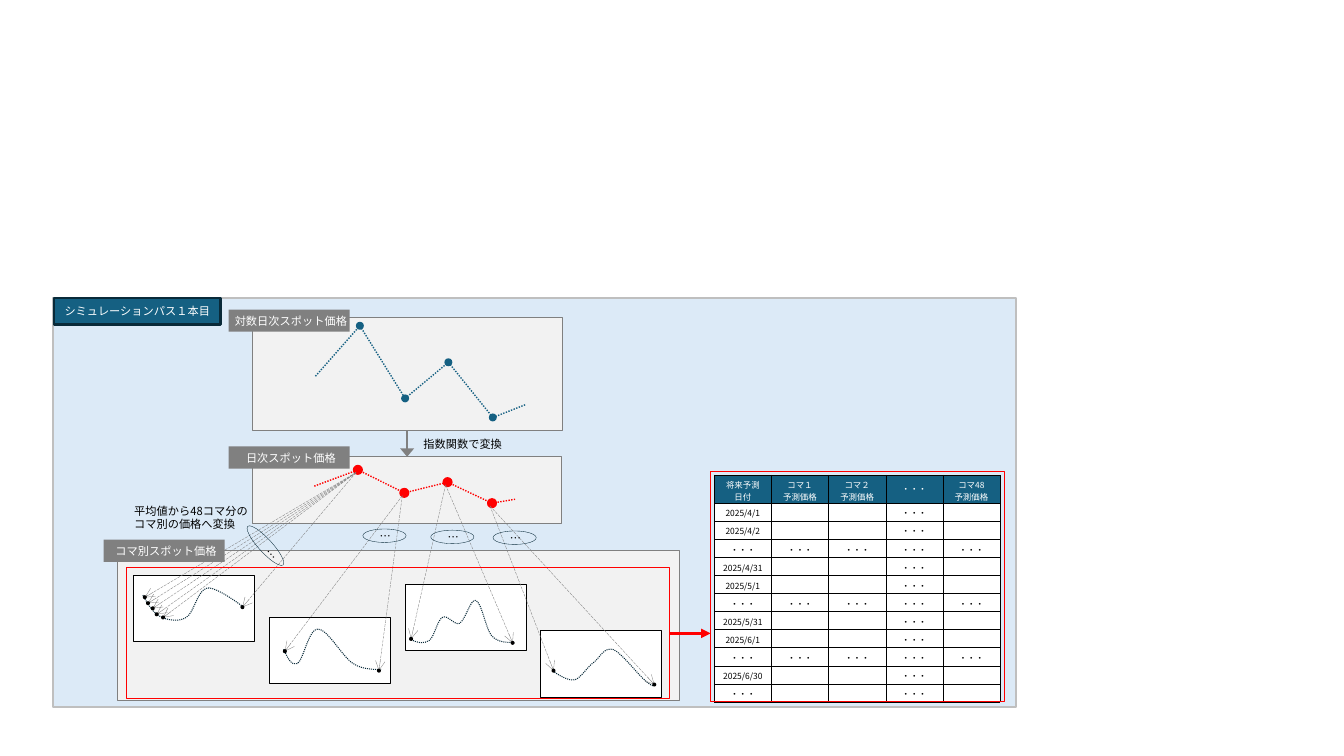
from lxml.etree import SubElement
from pptx import Presentation
from pptx.dml.color import RGBColor
from pptx.enum.dml import MSO_LINE
from pptx.enum.shapes import MSO_CONNECTOR, MSO_SHAPE
from pptx.enum.text import MSO_ANCHOR, MSO_AUTO_SIZE, PP_ALIGN
from pptx.oxml.ns import qn
from pptx.util import Cm, Pt

FONT = "Noto Sans CJK JP"
COLOURS = {name: RGBColor.from_string(value) for name, value in {
    "panel": "DCEAF7", "silver": "BFBFBF", "pale": "F2F2F2", "grey": "808080",
    "red": "FF0000", "blue": "156082", "navy": "092A39",
    "black": "000000", "white": "FFFFFF"}.items()}

LOG_PRICES = [(1.6, 1.47), (2.72, 0.2), (3.86, 2.03), (4.95, 1.12), (6.07, 2.51), (6.91, 2.18)]
DAILY_PRICES = [(1.57, 0.74), (2.67, 0.33), (3.84, 0.91), (4.93, 0.64), (6.05, 1.17), (6.63, 1.07)]

# Each card: top in its frame, Bezier points of the curve, dots on the curve
CARDS = [
    (0.61, [(0.23, 0.51), (0.36, 0.74), (0.48, 0.94), (0.66, 1.04), (0.84, 1.14),
            (1.14, 1.19), (1.32, 1.07), (1.52, 0.97), (1.6, 0.38), (1.85, 0.33),
            (2.08, 0.28), (2.77, 0.81), (2.77, 0.81)],
     [(0.28, 0.56), (0.36, 0.71), (0.48, 0.84), (0.58, 0.99), (0.74, 1.07), (2.74, 0.81)]),
    (1.67, [(0.36, 0.81), (0.46, 1.04), (0.56, 1.24), (0.71, 1.17), (0.86, 1.07),
            (0.99, 0.3), (1.22, 0.3), (1.47, 0.3), (1.85, 1.02), (2.11, 1.17),
            (2.36, 1.35), (2.82, 1.32), (2.82, 1.32)],
     [(0.39, 0.86), (2.76, 1.35)]),
    (0.84, [(0.15, 1.4), (0.3, 1.47), (0.46, 1.52), (0.61, 1.42), (0.74, 1.32),
            (0.81, 0.91), (0.94, 0.84), (1.07, 0.76), (1.24, 1.04), (1.37, 0.99),
            (1.52, 0.91), (1.65, 0.36), (1.78, 0.41), (1.93, 0.46), (2.03, 1.12),
            (2.18, 1.3), (2.34, 1.47), (2.54, 1.47), (2.74, 1.47)],
     [(0.15, 1.38), (2.71, 1.48)]),
    (2.01, [(0.3, 1.02), (0.48, 1.14), (0.69, 1.27), (0.86, 1.24), (1.02, 1.19),
            (1.17, 0.91), (1.35, 0.79), (1.5, 0.66), (1.6, 0.41), (1.83, 0.48),
            (2.03, 0.56), (2.46, 1.12), (2.64, 1.27), (2.82, 1.42), (2.84, 1.4),
            (2.87, 1.37)],
     [(0.32, 1.01), (2.86, 1.36)]),
]

DOTS = "・・・"
HEADINGS = ["将来予測\n日付", "コマ１\n予測価格", "コマ２\n予測価格", DOTS, "コマ48\n予測価格"]
DATES = ["2025/4/1", "2025/4/2", DOTS, "2025/4/31", "2025/5/1", DOTS,
         "2025/5/31", "2025/6/1", DOTS, "2025/6/30"]
FORECAST = [HEADINGS]
FORECAST += [[DOTS] * 5 if date == DOTS else [date, "", "", DOTS, ""] for date in DATES]
FORECAST += [[DOTS, "", "", DOTS, ""]]


def shift(points, left, top):
    return [(left + x, top + y) for x, y in points]


def style(shape, fill=None, line=None, weight=0.5):
    shape.shadow.inherit = False
    if fill:
        shape.fill.solid()
        shape.fill.fore_color.rgb = COLOURS[fill]
    else:
        shape.fill.background()
    if line:
        shape.line.color.rgb = COLOURS[line]
        shape.line.width = Pt(weight)
    else:
        shape.line.fill.background()


def place(page, box, fill=None, line=None, weight=0.5, kind=MSO_SHAPE.RECTANGLE):
    shape = page.shapes.add_shape(kind, *map(Cm, box))
    style(shape, fill, line, weight)
    return shape


def place_dot(page, centre, size, colour, rim=None):
    x, y = centre
    box = (x - size / 2, y - size / 2, size, size)
    place(page, box, colour, rim, 1.5, MSO_SHAPE.OVAL)


def connect(page, start, end, colour, weight, dash=None, head=None, head_width="med"):
    line = page.shapes.add_connector(MSO_CONNECTOR.STRAIGHT, *map(Cm, start + end))
    line.line.color.rgb = COLOURS[colour]
    line.line.width = Pt(weight)
    if dash:
        line.line.dash_style = dash
    properties = line._element.spPr
    if head:
        SubElement(properties.find(qn("a:ln")), qn("a:tailEnd"), type=head, w=head_width)
    SubElement(properties, qn("a:effectLst"))


def write(frame, text, colour, size=8, align=PP_ALIGN.CENTER):
    frame.text = text
    for para in frame.paragraphs:
        para.alignment = align
        para.font.size = Pt(size)
        para.font.color.rgb = COLOURS[colour]
        para.font.name = FONT
        defaults = para._p.pPr.find(qn("a:defRPr"))
        SubElement(defaults, qn("a:ea"), typeface=FONT)
        if not para.runs:
            SubElement(para._p, qn("a:endParaRPr"), sz=str(size * 100))


def place_text(page, box, text, wrap=True, align=PP_ALIGN.LEFT):
    label = page.shapes.add_textbox(*map(Cm, box))
    write(label.text_frame, text, "black", align=align)
    label.text_frame.word_wrap = wrap
    label.text_frame.auto_size = MSO_AUTO_SIZE.SHAPE_TO_FIT_TEXT
    return label


def place_tag(page, left, top, text):
    frame = place(page, (left, top, 3.05, 0.56), "grey").text_frame
    write(frame, text, "white")
    frame.word_wrap = True
    frame.vertical_anchor = MSO_ANCHOR.MIDDLE
    frame.margin_left, frame.margin_right = Cm(0.1), 0
    frame.auto_size = MSO_AUTO_SIZE.SHAPE_TO_FIT_TEXT


def price_panel(page, box, prices, colour, title, title_top, rim=None):
    """Draw a dotted price path and return its marked points."""
    left, top = box[:2]
    place(page, box, "pale", "grey")
    points = shift(prices, left, top)
    for start, end in zip(points, points[1:]):
        connect(page, start, end, colour, 1, MSO_LINE.ROUND_DOT)
    for point in points[1:-1]:
        place_dot(page, point, 0.2, colour, rim)
    place_tag(page, left - 0.59, title_top, title)
    return points[1:-1]


def draw_curve(page, points):
    """Draw a chain of cubic Bezier segments as a dotted outline."""
    corners = [(Cm(x), Cm(y)) for x, y in points]
    builder = page.shapes.build_freeform(*corners[0], scale=1.0)
    builder.add_line_segments(corners[1:], close=False)
    outline = builder.convert_to_shape()
    style(outline, line="navy", weight=0.75)
    outline.line.dash_style = MSO_LINE.ROUND_DOT
    track = next(outline._element.iter(qn("a:path")))
    segments = track.findall(qn("a:lnTo"))
    for i in range(0, len(segments), 3):
        bend = SubElement(track, qn("a:cubicBezTo"))
        for segment in segments[i:i + 3]:
            bend.append(segment[0])
            track.remove(segment)


def slot_card(page, box, curve, dots, source):
    """Draw one day's slot curve with arrows from its daily price."""
    left, top = box[:2]
    place(page, box, "white", "black")
    draw_curve(page, shift(curve, left, top))
    start = (source[0] - 0.05, source[1] + 0.07)
    for dot in shift(dots, left, top):
        connect(page, start, dot, "grey", 0.25, MSO_LINE.LONG_DASH, "arrow")
        place_dot(page, dot, 0.1, "black")


def slot_panel(page, box, sources):
    left, top = box[:2]
    place(page, box, "pale", "grey")
    for i, ((card_top, curve, dots), source) in enumerate(zip(CARDS, sources)):
        card = (left + 0.41 + 3.42 * i, top + card_top, 3.05, 1.68)
        slot_card(page, card, curve, dots, source)
    place_tag(page, left - 0.35, top - 0.28, "コマ別スポット価格")
    place(page, (left + 0.22, top + 0.43, 13.69, 3.3), line="red")


def arrow_bundle(page, x, y, width=1.09, turn=0, nudge=(0, 0)):
    """Ring a bundle of arrows around an ellipsis."""
    label = place_text(page, (x + nudge[0] - 0.37, y + nudge[1] - 0.28, 0.74, 0.56),
                       "…", wrap=False, align=PP_ALIGN.CENTER)
    ring = place(page, (x - width / 2, y - 0.17, width, 0.34),
                 line="navy", weight=0.25, kind=MSO_SHAPE.OVAL)
    label.rotation = ring.rotation = turn


def border(cell):
    properties = cell._tc.get_or_add_tcPr()
    for i, side in enumerate(("a:lnL", "a:lnR", "a:lnT", "a:lnB")):
        line = properties.makeelement(qn(side), {"w": str(Pt(0.25))})
        fill = SubElement(line, qn("a:solidFill"))
        SubElement(fill, qn("a:srgbClr"), val=str(COLOURS["black"]))
        properties.insert(i, line)


def forecast_table(page, box):
    left, top = box[:2]
    area = (left + 0.09, top + 0.08, 7.2, 5.2)
    table = page.shapes.add_table(len(FORECAST), 5, *map(Cm, area)).table
    for column in table.columns:
        column.width = Cm(1.44)
    for i, (row, texts) in enumerate(zip(table.rows, FORECAST)):
        row.height = Cm(0.41 if i else 0.69)
        for cell, text in zip(row.cells, texts):
            cell.fill.solid()
            cell.fill.fore_color.rgb = COLOURS["white" if i else "blue"]
            cell.vertical_anchor = MSO_ANCHOR.MIDDLE
            cell.margin_left = cell.margin_right = Cm(0.1)
            cell.margin_top = cell.margin_bottom = Cm(0.1)
            write(cell.text_frame, text, "black" if i else "white", 6)
            border(cell)
    place(page, box, line="red")


def simulation_panel(page, box):
    left, top = box[:2]
    place(page, box, "panel", "silver", 1.5)
    price_panel(page, (left + 5.02, top + 0.5, 7.82, 2.84), LOG_PRICES, "blue",
                "対数日次スポット価格", top + 0.29)
    daily = price_panel(page, (left + 5.02, top + 4, 7.79, 1.67), DAILY_PRICES, "red",
                        "日次スポット価格", top + 3.74, rim="red")
    slot_panel(page, (left + 1.63, top + 6.37, 14.17, 3.76), daily)
    for x, y in [(8.36, 5.99), (10.07, 6.02), (11.64, 6.04)]:
        arrow_bundle(page, left + x, top + y)
    arrow_bundle(page, left + 5.36, top + 6.24, 1.32, 47.5, (0.14, 0.19))
    connect(page, (left + 8.93, top + 3.34), (left + 8.93, top + 4), "grey", 1.5,
            head="triangle", head_width="lg")
    place_text(page, (left + 9.09, top + 3.38, 3.71, 0.56), "指数関数で変換")
    place_text(page, (left + 1.8, top + 5.07, 3.91, 0.86),
               "平均値から48コマ分の\nコマ別の価格へ変換")
    title = place(page, (left + 0.04, top, 4.19, 0.67), "blue", "navy", 1.5)
    write(title.text_frame, "シミュレーションパス１本目", "white")
    title.text_frame.vertical_anchor = MSO_ANCHOR.MIDDLE
    forecast_table(page, (left + 16.58, top + 4.38, 7.41, 5.79))
    connect(page, (left + 15.56, top + 8.45), (left + 16.58, top + 8.45), "red", 2.25, head="triangle")


def main():
    deck = Presentation()
    deck.slide_width, deck.slide_height = Cm(33.87), Cm(19.05)
    page = deck.slides.add_slide(deck.slide_layouts[6])
    simulation_panel(page, (1.33, 7.51, 24.28, 10.31))
    deck.save("out.pptx")


if __name__ == "__main__":
    main()
